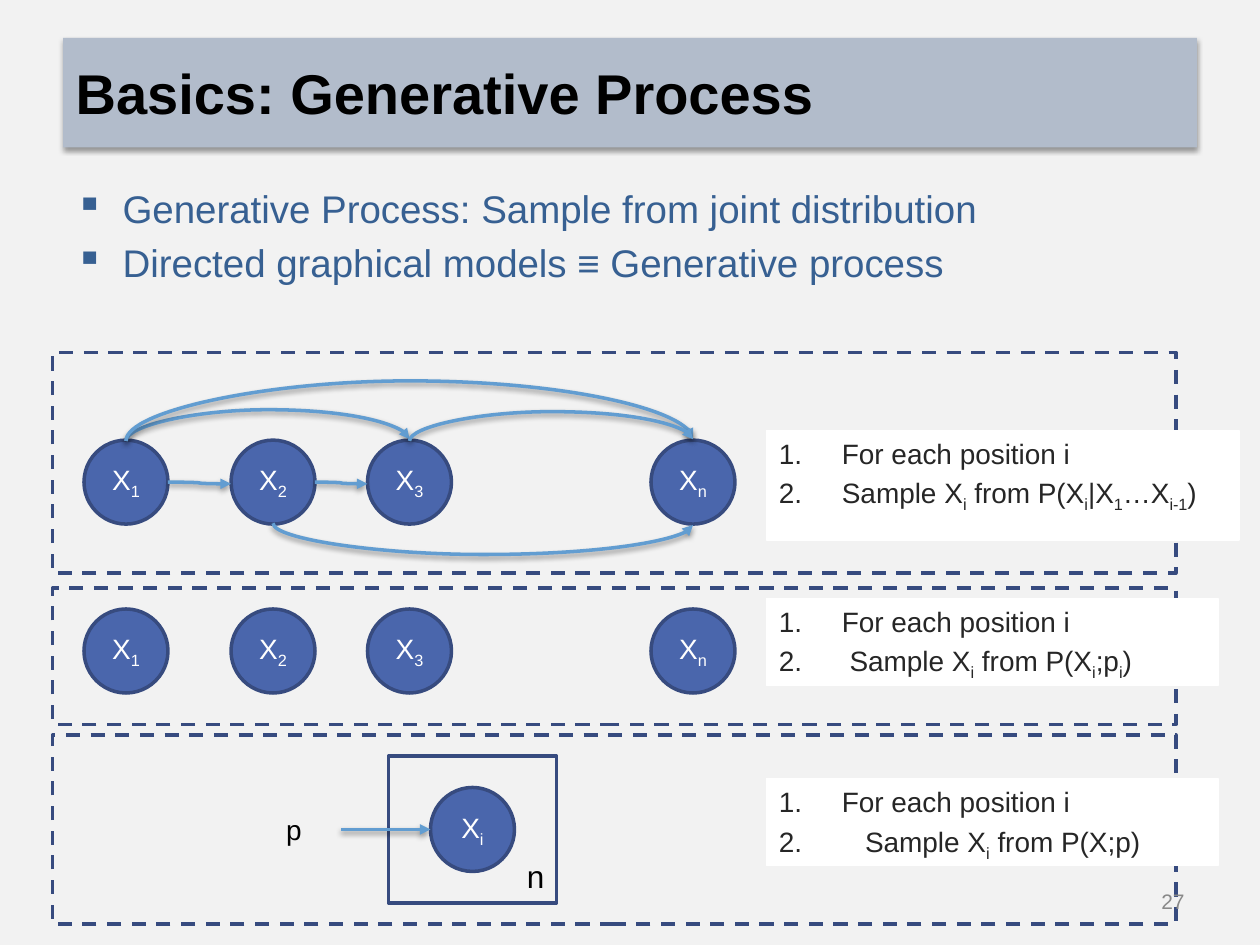
"""Build the slide on the generative process of directed graphical models."""
from pptx import Presentation
from pptx.dml.color import RGBColor
from pptx.enum.dml import MSO_LINE
from pptx.enum.shapes import MSO_CONNECTOR, MSO_SHAPE
from pptx.enum.text import MSO_ANCHOR, PP_ALIGN
from pptx.oxml import parse_xml
from pptx.oxml.ns import nsdecls, qn
from pptx.util import Pt

BLUE, NAVY, SKY, WHITE, BLACK = "4A66AC", "374B7F", "629DD1", "FFFFFF", "000000"
SQUARE_BULLET = '<a:buChar {} char="▪"/>'
NUMBER_BULLET = '<a:buAutoNum {} type="arabicPeriod"/>'
SHADOW = """<a:effectLst {}><a:outerShdw blurRad="40000" dist="20000" dir="5400000" rotWithShape="0">
<a:srgbClr val="000000"><a:alpha val="38000"/></a:srgbClr></a:outerShdw></a:effectLst>"""


def write(shape, lines, size, colour, align=PP_ALIGN.LEFT, anchor=MSO_ANCHOR.TOP,
          bold=False, wrap=True, bullet=None, indent=0):
    """Write lines in which pairs of underscores enclose a subscript."""
    frame = shape.text_frame
    frame.word_wrap, frame.vertical_anchor = wrap, anchor
    for index, line in enumerate(lines):
        paragraph = frame.add_paragraph() if index else frame.paragraphs[0]
        paragraph.alignment = align
        if bullet:
            properties = paragraph._p.get_or_add_pPr()
            properties.set("marL", str(Pt(indent)))
            properties.set("indent", str(-Pt(indent)))
            spacing = '<a:spcBef {}><a:spcPct val="20000"/></a:spcBef>'
            for xml in (spacing, bullet):
                properties.append(parse_xml(xml.format(nsdecls("a"))))
        for part, text in enumerate(line.split("_")):
            if not text:
                continue
            run = paragraph.add_run()
            run.text = text
            for name, value in {"name": "Arial", "size": Pt(size), "bold": bold}.items():
                setattr(run.font, name, value)
            run.font.color.rgb = RGBColor.from_string(colour)
            if part % 2:
                run._r.get_or_add_rPr().set("baseline", "-25000")


def add_shape(kind, left, top, width, height, fill=None, line=None, weight=2):
    """Add a preset shape without shadow."""
    shape = slide.shapes.add_shape(kind, Pt(left), Pt(top), Pt(width), Pt(height))
    shape.shadow.inherit = False
    for part, colour in ((shape.fill, fill), (shape.line.fill, line)):
        if colour:
            part.solid()
            part.fore_color.rgb = RGBColor.from_string(colour)
        else:
            part.background()
    if line:
        shape.line.width = Pt(weight)
    return shape


presentation = Presentation()
presentation.slide_width, presentation.slide_height = Pt(720), Pt(540)
slide = presentation.slides.add_slide(presentation.slide_layouts[5])
slide.background.fill.solid()
slide.background.fill.fore_color.rgb = RGBColor.from_string("F2F2F2")

title = slide.shapes.title
for name, value in {"left": 36, "top": 21.6, "width": 648, "height": 62.6}.items():
    setattr(title, name, Pt(value))
title.fill.solid()
title.fill.fore_color.rgb = RGBColor.from_string("B2BCCB")
write(title, ["Basics: Generative Process"], 32, BLACK, anchor=MSO_ANCHOR.MIDDLE, bold=True)

body = slide.shapes.add_textbox(Pt(36), Pt(102.2), Pt(648), Pt(380))
write(body, ["Generative Process: Sample from joint distribution",
             "Directed graphical models ≡ Generative process"],
      22, "376092", bullet=SQUARE_BULLET, indent=27)

diameter = 48
row_tops = {"chain": 251.5, "independent": 348, "plate": 450}
node_lefts = {"1": 48, "2": 132, "3": 210, "n": 372}
nodes = [(left, row_tops[row], f"X_{label}_", BLUE, NAVY, WHITE)
         for row in ("chain", "independent") for label, left in node_lefts.items()]
nodes += [(246, row_tops["plate"], "X_i_", BLUE, NAVY, WHITE),
          (144, row_tops["plate"], "p", None, None, BLACK)]
for left, top, label, fill, line, colour in nodes:
    node = add_shape(MSO_SHAPE.OVAL, left, top, diameter, diameter, fill, line)
    write(node, [label], 16, colour, PP_ALIGN.CENTER, MSO_ANCHOR.MIDDLE, wrap=False)

add_shape(MSO_SHAPE.RECTANGLE, 222, 432, 96, 84, line=NAVY)
plate_count = slide.shapes.add_textbox(Pt(294), Pt(486), Pt(39), Pt(29))
write(plate_count, ["n"], 18, BLACK)

for top, height in ((201.5, 126), (336, 78), (420, 108)):
    panel = add_shape(MSO_SHAPE.RECTANGLE, 30, top, 642, height, line=NAVY)
    panel.line.dash_style = MSO_LINE.DASH

for top, width, height, sampling in (
        (342, 258, 49.7, " Sample X_i_ from P(X_i_;p_i_)"),
        (246, 270, 62.6, "Sample X_i_ from P(X_i_|X_1_…X_i-1_)"),
        (445, 258, 49.7, "   Sample X_i_ from P(X;p)")):
    steps = add_shape(MSO_SHAPE.RECTANGLE, 438, top, width, height, WHITE, WHITE, 0.75)
    write(steps, ["For each position i", sampling], 16, "262626",
          bullet=NUMBER_BULLET, indent=36)

chain_top = row_tops["chain"]
chain_middle = chain_top + diameter / 2
arrows = [slide.shapes.add_connector(MSO_CONNECTOR.STRAIGHT, Pt(195), Pt(474), Pt(246), Pt(474))]
for start, end in (("1", "2"), ("2", "3")):
    arrows.append(slide.shapes.add_connector(
        MSO_CONNECTOR.CURVE, Pt(node_lefts[start] + diameter), Pt(chain_middle),
        Pt(node_lefts[end]), Pt(chain_middle + 1)))

upward = {"rot": "5400000", "flipH": "1", "flipV": "1"}
downward = {"rot": "16200000", "flipH": "1"}
for start, end, rise, y, turn in (
        ("1", "3", 18, chain_top, upward), ("1", "n", 34.6, chain_top, upward),
        ("3", "n", 16.9, chain_top, upward), ("2", "n", 18, chain_top + diameter, downward)):
    span = node_lefts[end] - node_lefts[start]
    x = (node_lefts[start] + node_lefts[end] + diameter) / 2
    arc = slide.shapes.add_connector(MSO_CONNECTOR.CURVE, Pt(x - 0.5), Pt(y - span / 2),
                                     Pt(x + 0.5), Pt(y + span / 2))
    properties = arc._element.spPr
    for name, value in turn.items():
        properties.find(qn("a:xfrm")).set(name, value)
    properties.find(".//" + qn("a:avLst")).append(parse_xml(
        f'<a:gd {nsdecls("a")} name="adj1" fmla="val {round(rise * 100000)}"/>'))
    arrows.append(arc)

for arrow in arrows:
    arrow.line.color.rgb = RGBColor.from_string(SKY)
    arrow.line.width = Pt(2)
    arrow._element.spPr.get_or_add_ln().append(
        parse_xml(f'<a:tailEnd {nsdecls("a")} type="triangle"/>'))
for shape in [title, *arrows]:
    shape._element.spPr.append(parse_xml(SHADOW.format(nsdecls("a"))))

page_number = slide.shapes.add_textbox(Pt(516), Pt(500.4), Pt(168), Pt(28.8))
write(page_number, ["27"], 12, "898989", PP_ALIGN.RIGHT, MSO_ANCHOR.MIDDLE)

presentation.save("out.pptx")
